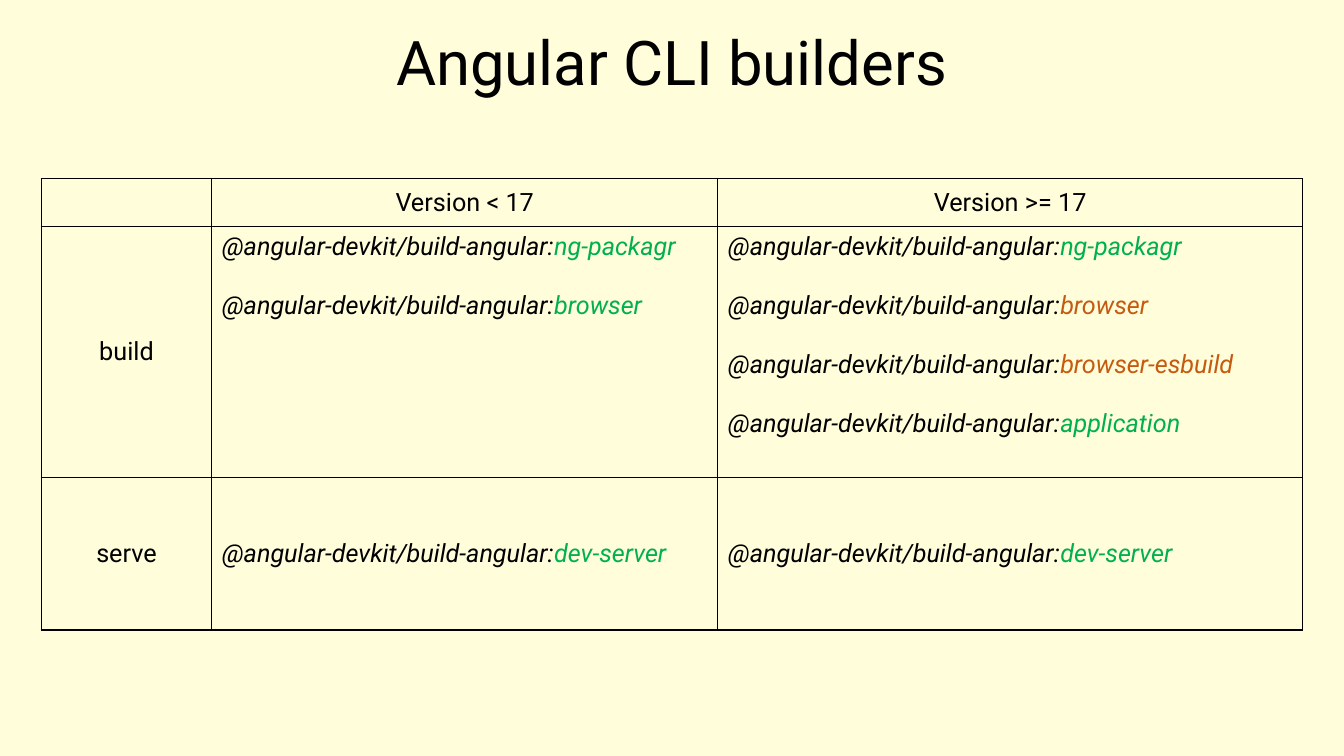
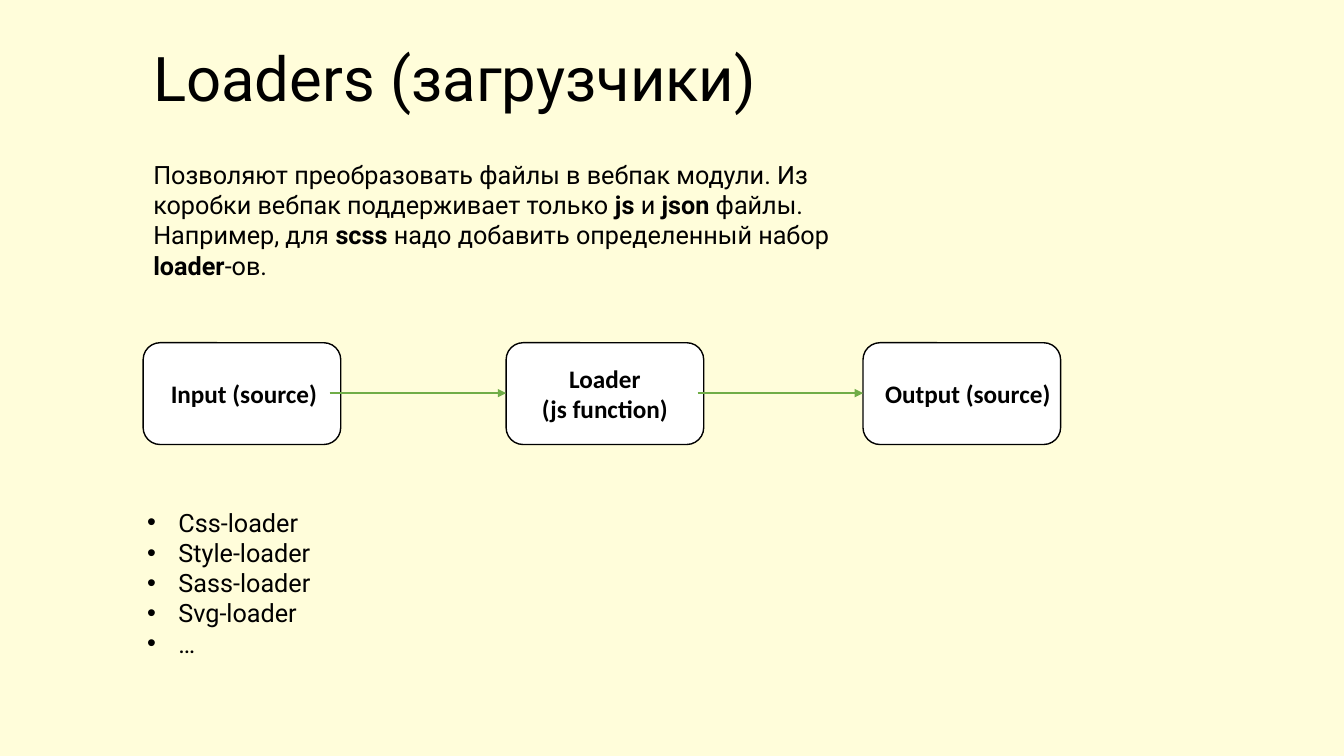
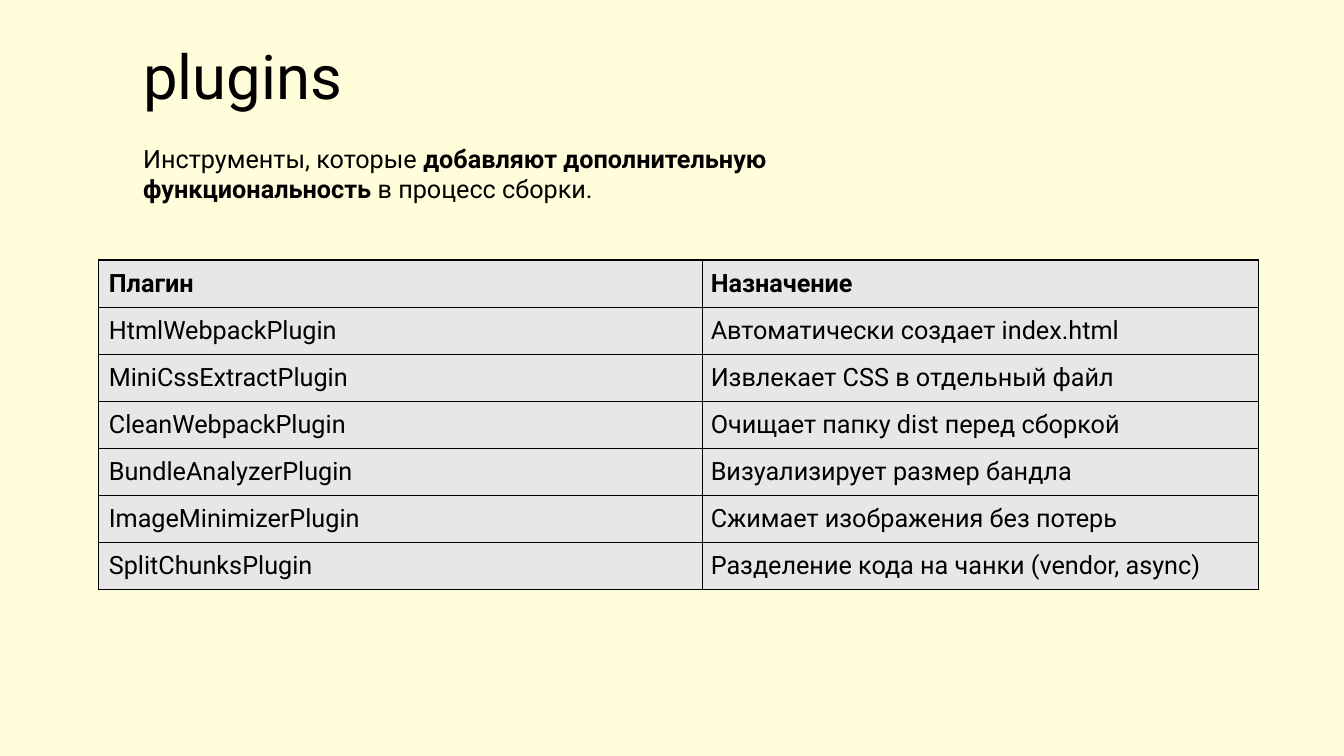
from dataclasses import dataclass
from lxml.etree import SubElement
from pptx import Presentation
from pptx.dml.color import RGBColor
from pptx.enum.shapes import MSO_CONNECTOR, MSO_SHAPE
from pptx.enum.text import MSO_ANCHOR, MSO_AUTO_SIZE, PP_ALIGN
from pptx.oxml.ns import qn
from pptx.util import Inches, Pt


@dataclass(frozen=True)
class Theme:
    back: str = "FFFDDA"
    ink: str = "000000"
    box: str = "FFFFFF"
    cell: str = "E7E7E7"
    arrow: str = "70AD47"
    current: str = "00B050"
    legacy: str = "C55A11"
    font: str = "Roboto"
    label_font: str = "Calibri"
    title: int = 44
    body: int = 18


T = Theme()
W, H = 13.33, 7.5
TITLE_ONLY, CONTENT, TWO_CONTENT = 5, 1, 3


def builder(name, color=T.current):
    return [("@angular-devkit/build-angular:", {"italic": True}),
            (name, {"italic": True, "color": color})]


def plain(text, **style):
    return [[(text, style)]]


BOLD = {"bold": True}

BUILDERS = [
    [None, plain("Version < 17"), plain("Version >= 17")],
    [plain("build"),
     [builder("ng-packagr"), builder("browser")],
     [builder("ng-packagr"), builder("browser", T.legacy),
      builder("browser-esbuild", T.legacy), builder("application")]],
    [plain("serve"), [builder("dev-server")], [builder("dev-server")]],
]

LOADERS_INTRO = [[
    ("Позволяют преобразовать файлы в вебпак модули. Из коробки вебпак поддерживает только ", {}),
    ("js", BOLD), (" и ", {}), ("json", BOLD),
    (" файлы. Например, для ", {}), ("scss", BOLD),
    (" надо добавить определенный набор ", {}),
    ("loader", BOLD), ("-ов.", {}),
]]
STAGES = [
    (1.42, 0.02, ["Input (source)"]),
    (5.02, 0, ["Loader", "(js function)"]),
    (8.56, 0.06, ["Output (source)"]),
]
ARROWS = [(3.27, 5.02), (6.92, 8.56)]
LOADERS = ["Css-loader", "Style-loader", "Sass-loader", "Svg-loader", "…"]

PLUGINS_INTRO = [[
    ("Инструменты, которые ", {}),
    ("добавляют дополнительную функциональность", BOLD),
    (" в процесс сборки.", {}),
]]
PLUGINS = [
    ("Плагин", "Назначение"),
    ("HtmlWebpackPlugin", "Автоматически создает index.html"),
    ("MiniCssExtractPlugin", "Извлекает CSS в отдельный файл"),
    ("CleanWebpackPlugin", "Очищает папку dist перед сборкой"),
    ("BundleAnalyzerPlugin", "Визуализирует размер бандла"),
    ("ImageMinimizerPlugin", "Сжимает изображения без потерь"),
    ("SplitChunksPlugin", "Разделение кода на чанки (vendor, async)"),
]


def rgb(value):
    return RGBColor.from_string(value)


def write(tf, paragraphs, size=T.body, font=T.font, align=PP_ALIGN.LEFT, gap=0, indent=None):
    for i, runs in enumerate(paragraphs):
        p = tf.paragraphs[0] if i == 0 else tf.add_paragraph()
        if indent is not None:
            pPr = p._p.get_or_add_pPr()
            pPr.set("marL", str(Inches(indent)))
            pPr.set("indent", str(-Inches(indent)))
            if indent == 0:
                SubElement(pPr, qn("a:buNone"))
        p.alignment = align
        p.space_before = Pt(gap if i else 0)
        for text, style in runs:
            r = p.add_run()
            r.text = text
            r.font.name, r.font.size = font, Pt(size)
            r.font.bold = style.get("bold", False)
            r.font.italic = style.get("italic", False)
            r.font.color.rgb = rgb(style.get("color", T.ink))


def fill_placeholder(sp, at, paragraphs, **style):
    sp.left, sp.top, sp.width, sp.height = map(Inches, at)
    tf = sp.text_frame
    tf.word_wrap = True
    tf.auto_size = MSO_AUTO_SIZE.NONE
    tf.vertical_anchor = MSO_ANCHOR.TOP
    write(tf, paragraphs, **style)


def new_slide(prs, layout, title, at, align=PP_ALIGN.LEFT):
    s = prs.slides.add_slide(prs.slide_layouts[layout])
    fill_placeholder(s.shapes.title, at, plain(title), size=T.title, align=align)
    return s


def add_grid(s, left, top, cols, rows):
    frame = s.shapes.add_table(len(rows), len(cols), Inches(left), Inches(top),
                               Inches(sum(cols)), Inches(sum(rows)))
    table = frame.table
    table.first_row = table.horz_banding = False
    for col, width in zip(table.columns, cols):
        col.width = Inches(width)
    for row, height in zip(table.rows, rows):
        row.height = Inches(height)
    for cell in table.iter_cells():
        tcPr = cell._tc.get_or_add_tcPr()
        for side in ("lnL", "lnR", "lnT", "lnB"):
            ln = SubElement(tcPr, qn("a:" + side), w=str(Pt(1)))
            SubElement(SubElement(ln, qn("a:solidFill")), qn("a:srgbClr"), val=T.ink)
        cell.fill.background()
        cell.vertical_anchor = MSO_ANCHOR.MIDDLE
    return table


def add_stage(s, left, shift, lines):
    sp = s.shapes.add_shape(MSO_SHAPE.ROUNDED_RECTANGLE, Inches(left), Inches(3.4),
                            Inches(1.96), Inches(1.01))
    sp.shadow.inherit = False
    sp.fill.solid()
    sp.fill.fore_color.rgb = rgb(T.box)
    sp.line.color.rgb = rgb(T.ink)
    sp.line.width = Pt(1)
    tf = sp.text_frame
    tf.word_wrap = True
    tf.margin_left, tf.margin_right = Inches(2 * shift), 0
    tf.vertical_anchor = MSO_ANCHOR.MIDDLE
    write(tf, [[(line, BOLD)] for line in lines], font=T.label_font, align=PP_ALIGN.CENTER)


def add_arrow(s, start, end, y=3.9):
    line = s.shapes.add_connector(MSO_CONNECTOR.STRAIGHT, Inches(start), Inches(y),
                                  Inches(end), Inches(y))
    line.line.color.rgb = rgb(T.arrow)
    line.line.width = Pt(1.5)
    SubElement(line.line._get_or_add_ln(), qn("a:tailEnd"), type="triangle")
    SubElement(line._element.spPr, qn("a:effectLst"))


def builders_slide(prs):
    s = new_slide(prs, TITLE_ONLY, "Angular CLI builders", (0, 0.19, W, 0.84), PP_ALIGN.CENTER)
    table = add_grid(s, 0.41, 1.77, [1.69, 5.02, 5.8], [0.48, 2.49, 1.51])
    for r, row in enumerate(BUILDERS):
        for c, paragraphs in enumerate(row):
            if not paragraphs:
                continue
            cell = table.cell(r, c)
            if len(paragraphs) > 1:
                cell.vertical_anchor = MSO_ANCHOR.TOP
            heading = r == 0 or c == 0
            write(cell.text_frame, paragraphs, gap=21,
                  align=PP_ALIGN.CENTER if heading else PP_ALIGN.LEFT)


def loaders_slide(prs):
    s = new_slide(prs, TWO_CONTENT, "Loaders (загрузчики)", (1.42, 0.35, 10.19, 0.84))
    intro, names = list(s.placeholders)[1:]
    fill_placeholder(intro, (1.42, 1.53, 7.01, 1.31), LOADERS_INTRO, indent=0)
    fill_placeholder(names, (1.36, 4.98, 3.56, 1.62), [[(name, {})] for name in LOADERS],
                     indent=0.31)
    for stage in STAGES:
        add_stage(s, *stage)
    for arrow in ARROWS:
        add_arrow(s, *arrow)


def plugins_slide(prs):
    s = new_slide(prs, CONTENT, "plugins", (1.32, 0.33, 10.15, 0.84))
    fill_placeholder(s.placeholders[1], (1.32, 1.37, 7.01, 0.71), PLUGINS_INTRO, indent=0)
    count = len(PLUGINS)
    table = add_grid(s, 0.98, 2.58, [5.99, 5.51], [3.27 / count] * count)
    for r, row in enumerate(PLUGINS):
        for c, text in enumerate(row):
            cell = table.cell(r, c)
            cell.fill.solid()
            cell.fill.fore_color.rgb = rgb(T.cell)
            cell.margin_left = Inches(0.08 if c else 0.1)
            cell.margin_right = cell.margin_top = cell.margin_bottom = Inches(0.08)
            write(cell.text_frame, plain(text, bold=r == 0))


def main():
    prs = Presentation()
    prs.slide_width, prs.slide_height = Inches(W), Inches(H)
    back = prs.slide_master.background.fill
    back.solid()
    back.fore_color.rgb = rgb(T.back)
    for build in (builders_slide, loaders_slide, plugins_slide):
        build(prs)
    prs.save("out.pptx")


if __name__ == "__main__":
    main()
